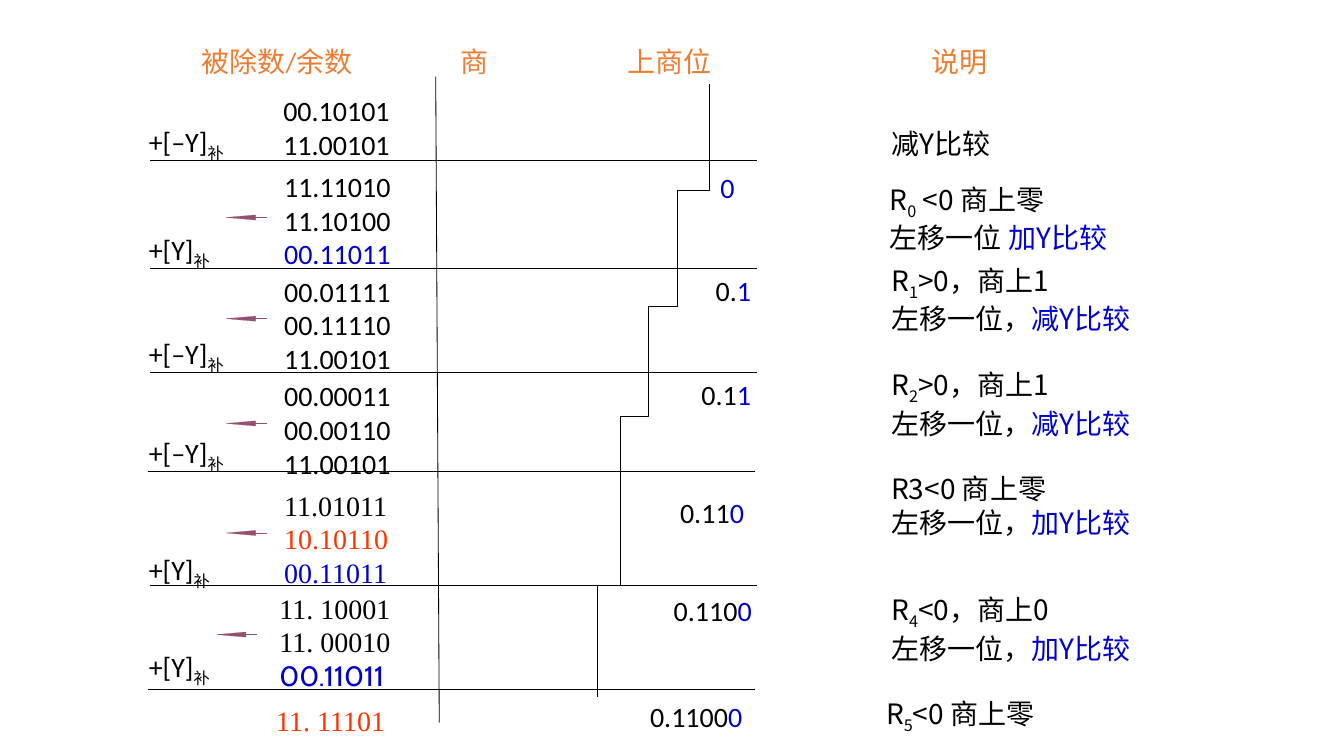
"""Build the slide that works through restoring-free binary division step by step."""
from dataclasses import dataclass
from typing import NamedTuple, Optional

import lxml.etree
import pptx
import pptx.dml.color
import pptx.enum.shapes
import pptx.enum.text
import pptx.oxml.ns
import pptx.util

Cm, Pt = pptx.util.Cm, pptx.util.Pt
RGBColor = pptx.dml.color.RGBColor
Align = pptx.enum.text.PP_ALIGN
qn = pptx.oxml.ns.qn

BLACK = RGBColor(0x00, 0x00, 0x00)
BLUE = RGBColor(0x00, 0x00, 0xCC)
RED = RGBColor(0xFF, 0x33, 0x00)
ORANGE = RGBColor(0xED, 0x7D, 0x31)
PLUM = RGBColor(0x95, 0x4F, 0x72)

CALIBRI, TIMES, CABIN, CJK = "Calibri", "Times New Roman", "Cabin", "Noto Sans CJK JP"
HAIRLINE = 0.6


class Run(NamedTuple):
    text: str
    color: RGBColor = BLACK
    sub: bool = False
    font: Optional[str] = None


Lines = list[list[Run]]


@dataclass
class Step:
    x: float
    y: float
    numbers: Lines
    op: str = ""
    op_y: float = 0
    rule_x: float = 3.78
    rule_y: float = 0
    arrow_x: float = 5.7
    arrow_y: float = 0


@dataclass
class Note:
    x: float
    y: float
    lines: Lines


@dataclass
class Quotient:
    right: float
    y: float
    known: str
    digit: str


def plain(*texts: str) -> Lines:
    return [[Run(t)] for t in texts]


def remark(index: str, result: str, shift: str = "", action: str = "") -> Lines:
    lines = [[Run("R"), Run(index, sub=True), Run(result)]]
    return lines + [[Run(shift), Run(action, BLUE)]] if shift else lines


HEADS = [("被除数/余数", 5.08), ("商", 11.6), ("上商位", 15.82), ("说明", 23.47)]

STEPS = [
    Step(7.14, 2.36, plain("00.10101", "11.00101"), "+[–Y]", 3.13, rule_y=4.03),
    Step(7.16, 4.27, plain("11.11010", "11.10100") + [[Run("00.11011", BLUE)]],
         "+[Y]", 5.87, rule_y=6.77, arrow_y=5.48),
    Step(7.16, 6.91, plain("00.01111", "00.11110", "11.00101"),
         "+[–Y]", 8.48, rule_y=9.38, arrow_y=8.03),
    Step(7.16, 9.55, plain("00.00011", "00.00110", "11.00101"),
         "+[–Y]", 10.97, rule_x=3.74, rule_y=11.89, arrow_y=10.67),
    Step(7.16, 12.3, [[Run("11.01011", font=TIMES)], [Run("10.10110", RED, font=TIMES)],
                      [Run("00.11011", BLUE, font=TIMES)]],
         "+[Y]", 13.92, rule_y=14.74, arrow_y=13.43),
    Step(7.04, 14.9, [[Run("11. 10001", font=TIMES)], [Run("11. 00010", font=TIMES)],
                      [Run("00.11011", BLUE, font=CABIN)]],
         "+[Y]", 16.36, rule_x=3.74, rule_y=17.37, arrow_x=5.46, arrow_y=15.99),
    Step(6.96, 17.73, [[Run("11. 11101", RED, font=TIMES)]]),
]

NOTES = [
    Note(22.46, 3.18, plain("减Y比较")),
    Note(22.42, 4.6, remark("0", " <0 商上零", "左移一位 ", "加Y比较")),
    Note(22.46, 6.63, remark("1", ">0，商上1", "左移一位，", "减Y比较")),
    Note(22.46, 9.27, remark("2", ">0，商上1", "左移一位，", "减Y比较")),
    Note(22.46, 11.89, [[Run("R3<0 商上零")], [Run("左移一位，"), Run("加Y比较", BLUE)]]),
    Note(22.46, 14.94, remark("4", "<0，商上0", "左移一位，", "加Y比较")),
    Note(22.33, 17.55, remark("5", "<0 商上零")),
]

QUOTIENTS = [
    Quotient(18.51, 4.29, "", "0"),
    Quotient(18.93, 6.88, "0.", "1"),
    Quotient(18.93, 9.51, "0.1", "1"),
    Quotient(18.75, 12.49, "0.11", "0"),
    Quotient(18.95, 14.96, "0.110", "0"),
    Quotient(18.71, 17.63, "0.1100", "0"),
]

STAIR_X = [17.88, 17.07, 16.34, 15.64, 15.06]
STAIR_Y = [2.13, 4.8, 7.72, 10.49, 14.76, 17.56]


def write(sp, lines: Lines, *, font: str = CALIBRI, align=Align.LEFT) -> None:
    tf = sp.text_frame
    tf.word_wrap = True
    tf.auto_size = pptx.enum.text.MSO_AUTO_SIZE.NONE
    tf.vertical_anchor = pptx.enum.text.MSO_ANCHOR.TOP
    tf.margin_left = tf.margin_right = tf.margin_top = tf.margin_bottom = 0
    for i, runs in enumerate(lines):
        p = tf.add_paragraph() if i else tf.paragraphs[0]
        p.alignment = align
        for run in runs:
            r = p.add_run()
            r.text = run.text
            r.font.size = Pt(20)
            r.font.name = run.font or font
            r.font.color.rgb = run.color
            props = r.font._element
            lxml.etree.SubElement(props, qn("a:ea"), typeface=CJK)
            if run.sub:
                props.set("baseline", "-25000")


def add_text(slide, x: float, y: float, w: float, lines: Lines, **style) -> None:
    height = Cm(0.97 * len(lines))
    write(slide.shapes.add_textbox(Cm(x), Cm(y), Cm(w), height), lines, **style)


def add_line(shapes, x1: float, y1: float, x2: float, y2: float, color=BLACK) -> None:
    straight = pptx.enum.shapes.MSO_CONNECTOR.STRAIGHT
    sp = shapes.add_connector(straight, Cm(x1), Cm(y1), Cm(x2), Cm(y2))
    sp.line.color.rgb = color
    sp.line.width = Pt(HAIRLINE)
    lxml.etree.SubElement(sp._element.spPr, qn("a:effectLst"))


def add_shift_arrow(slide, x: float, y: float) -> None:
    shapes = slide.shapes.add_group_shape().shapes
    w, h = 0.13, 0.74
    triangle = pptx.enum.shapes.MSO_SHAPE.ISOSCELES_TRIANGLE
    sp = shapes.add_shape(triangle, Cm(x + (h - w) / 2), Cm(y - h / 2), Cm(w), Cm(h))
    sp.rotation = 270
    sp.shadow.inherit = False
    sp.fill.solid()
    sp.fill.fore_color.rgb = PLUM
    sp.line.color.rgb = PLUM
    sp.line.width = Pt(0.1)
    add_line(shapes, x + 1.02, y, x + 0.48, y, PLUM)


def add_staircase(slide) -> None:
    points = [(x, y) for i, x in enumerate(STAIR_X) for y in STAIR_Y[i:i + 2]]
    corners = [(Cm(x), Cm(y)) for x, y in points]
    builder = slide.shapes.build_freeform(*corners[0])
    builder.add_line_segments(corners[1:], close=False)
    sp = builder.convert_to_shape()
    sp.shadow.inherit = False
    sp.fill.background()
    sp.line.color.rgb = BLACK
    sp.line.width = Pt(HAIRLINE)


def add_step(slide, step: Step) -> None:
    add_text(slide, step.x, step.y, 3.6, step.numbers)
    if step.op:
        add_text(slide, 3.75, step.op_y, 3.3, [[Run(step.op), Run("补", sub=True)]])
        add_line(slide.shapes, step.rule_x, step.rule_y, step.rule_x + 15.29, step.rule_y)
    if step.arrow_y:
        add_shift_arrow(slide, step.arrow_x, step.arrow_y)


def main() -> None:
    prs = pptx.Presentation()
    prs.slide_width, prs.slide_height = Cm(33.87), Cm(19.05)
    slide = prs.slides.add_slide(prs.slide_layouts[5])
    (title, title_x), *other_heads = HEADS
    sp = slide.shapes.title
    sp.left, sp.top, sp.width, sp.height = Cm(title_x), Cm(1.12), Cm(5.8), Cm(0.97)
    write(sp, [[Run(title, ORANGE)]])
    for head, x in other_heads:
        add_text(slide, x, 1.12, 3.3, [[Run(head, ORANGE)]])
    add_line(slide.shapes, 11.07, 18.21, 10.98, 1.93)
    for step in STEPS:
        add_step(slide, step)
    add_staircase(slide)
    for q in QUOTIENTS:
        add_text(slide, q.right - 3.2, q.y, 3.2, [[Run(q.known), Run(q.digit, BLUE)]],
                 align=Align.RIGHT)
    for note in NOTES:
        add_text(slide, note.x, note.y, 8.6, note.lines, font=CJK)
    prs.save("out.pptx")


if __name__ == "__main__":
    main()
